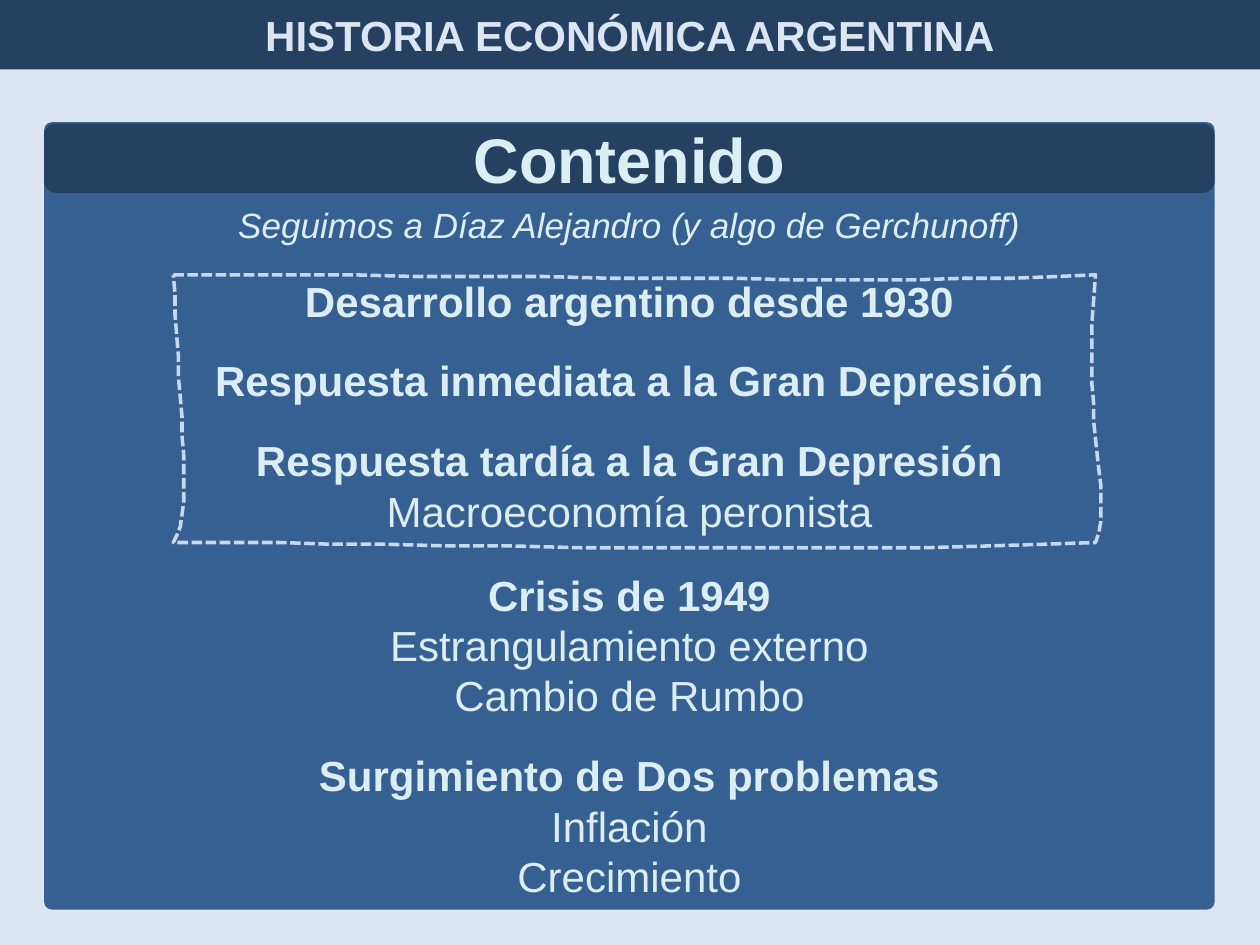
"""Build the contents slide of a course on Argentine economic history."""
from pptx import Presentation
from pptx import util as u
from pptx.dml.color import RGBColor
from pptx.enum import dml, shapes, text
from pptx.oxml.ns import qn

PALE = RGBColor(0xDC, 0xE6, 0xF2)
BLUE = RGBColor(0x37, 0x60, 0x92)
NAVY = RGBColor(0x25, 0x40, 0x61)
ICE = RGBColor(0xDB, 0xEE, 0xF4)
DASH = RGBColor(0xC6, 0xD9, 0xF1)

COURSE = "HISTORIA ECONÓMICA ARGENTINA"
HEADING = "Contenido"
SUBTITLE = "Seguimos a Díaz Alejandro (y algo de Gerchunoff)"
TOPICS = [
    ("Desarrollo argentino desde 1930", 16.8, []),
    ("Respuesta inmediata a la Gran Depresión", 16.8, []),
    ("Respuesta tardía a la Gran Depresión", 16.8, ["Macroeconomía peronista"]),
    ("Crisis de 1949", 19.2, ["Estrangulamiento externo", "Cambio de Rumbo"]),
    ("Surgimiento de Dos problemas", 16.8, ["Inflación", "Crecimiento"]),
]

HEADER = (0, 0, 720, 39.6)
CARD = (25.2, 69.8, 668.9, 450)
BAND = (25.2, 70.6, 668.9, 39.6)
FRAME_START = (99.4, 157)
FRAME_CURVES = [
    ((268.6, 156.2), (514.8, 163.4), (626.4, 157)),
    ((616.3, 231.1), (636.5, 283), (626.4, 309.6)),
    ((477.4, 318.2), (165.6, 308.9), (99.4, 309.6)),
    ((111.6, 293), (100.8, 216.7), (99.4, 157)),
]
STEPS = 16
LINE_FACTOR = 1.2


def place(box, area):
    box.left, box.top, box.width, box.height = map(u.Pt, area)


def paint(box, color):
    box.fill.solid()
    box.fill.fore_color.rgb = color


def add_panel(page, area, radius):
    panel = page.shapes.add_shape(
        shapes.MSO_SHAPE.ROUNDED_RECTANGLE, *map(u.Pt, area))
    panel.adjustments[0] = radius
    panel.shadow.inherit = False
    panel.line.fill.background()
    return panel


def style(para, size, color, bold=False, italic=False):
    para.alignment = text.PP_ALIGN.CENTER
    for span in para.runs:
        span.font.name = "Arial"
        span.font.size = u.Pt(size)
        span.font.bold = bold
        span.font.italic = italic
        span.font.color.rgb = color


def write_label(box, label, size, color):
    frame = box.text_frame
    frame.text = label
    frame.auto_size = text.MSO_AUTO_SIZE.NONE
    frame.vertical_anchor = text.MSO_ANCHOR.MIDDLE
    frame.margin_top = frame.margin_bottom = 0
    style(frame.paragraphs[0], size, color, bold=True)


def write_topics(body):
    lines = [(SUBTITLE, 20, False, True, 0)]
    for topic, gap, details in TOPICS:
        lines.append((topic, 24, True, False, gap))
        lines += [(detail, 24, False, False, 0) for detail in details]
    frame = body.text_frame
    frame.text = "\n".join(line[0] for line in lines)
    frame.auto_size = text.MSO_AUTO_SIZE.NONE
    frame.vertical_anchor = text.MSO_ANCHOR.BOTTOM
    frame.margin_bottom = u.Pt(5)
    for para, (_, size, bold, italic, gap) in zip(frame.paragraphs, lines):
        properties = para._p.get_or_add_pPr()
        properties.set("marL", "0")
        properties.set("indent", "0")
        properties.append(properties.makeelement(qn("a:buNone"), {}))
        para.space_before = u.Pt(gap)
        para.space_after = u.Pt(0)
        para.line_spacing = u.Pt(size * LINE_FACTOR)
        style(para, size, ICE, bold, italic)


def curve_points(start, curves):
    for first, second, end in curves:
        for step in range(1, STEPS + 1):
            t = step / STEPS
            weights = ((1 - t) ** 3, 3 * t * (1 - t) ** 2, 3 * t ** 2 * (1 - t), t ** 3)
            corners = (start, first, second, end)
            yield tuple(sum(w * c[axis] for w, c in zip(weights, corners))
                        for axis in (0, 1))
        start = end


def add_frame(page):
    builder = page.shapes.build_freeform(*FRAME_START, scale=u.Pt(1))
    builder.add_line_segments(list(curve_points(FRAME_START, FRAME_CURVES)), close=True)
    outline = builder.convert_to_shape()
    outline.shadow.inherit = False
    outline.fill.background()
    outline.line.color.rgb = DASH
    outline.line.width = u.Pt(2)
    outline.line.dash_style = dml.MSO_LINE.SQUARE_DOT


def main():
    deck = Presentation()
    deck.slide_width, deck.slide_height = u.Pt(720), u.Pt(540)
    page = deck.slides.add_slide(deck.slide_layouts[1])
    paint(page.background, PALE)

    title, body = page.shapes.title, page.placeholders[1]
    place(title, HEADER)
    paint(title, NAVY)
    write_label(title, COURSE, 24, PALE)

    paint(add_panel(page, CARD, 0.01), BLUE)
    place(body, CARD)
    write_topics(body)
    page.shapes._spTree.append(body._element)

    band = add_panel(page, BAND, 0.17)
    paint(band, NAVY)
    write_label(band, HEADING, 36, ICE)
    add_frame(page)
    deck.save("out.pptx")


if __name__ == "__main__":
    main()
